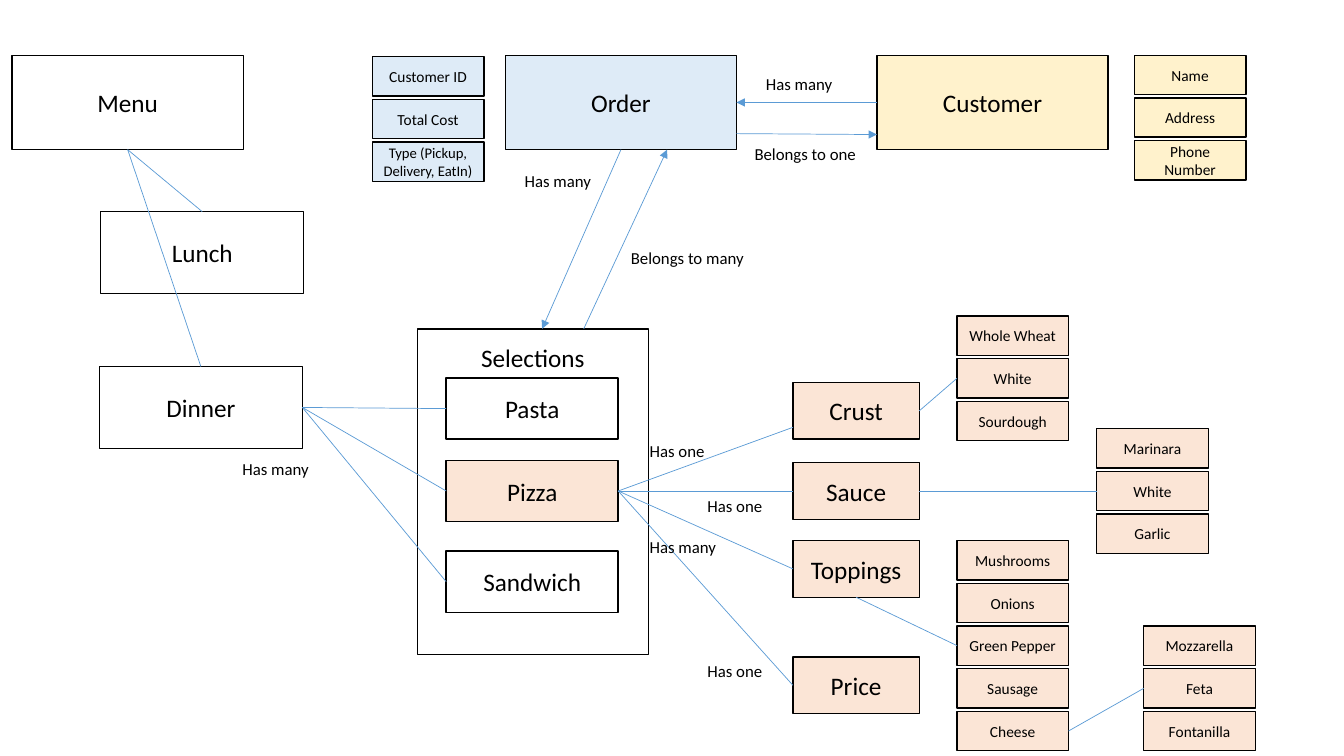
from lxml import etree
from pptx import Presentation
from pptx.dml.color import RGBColor
from pptx.enum.shapes import MSO_CONNECTOR, MSO_SHAPE
from pptx.enum.text import MSO_ANCHOR, MSO_AUTO_SIZE, PP_ALIGN
from pptx.oxml.ns import qn
from pptx.util import Inches, Pt

RECT, STRAIGHT = MSO_SHAPE.RECTANGLE, MSO_CONNECTOR.STRAIGHT
TOP, MIDDLE = MSO_ANCHOR.TOP, MSO_ANCHOR.MIDDLE
LEFT, CENTER = PP_ALIGN.LEFT, PP_ALIGN.CENTER
GROW = MSO_AUTO_SIZE.SHAPE_TO_FIT_TEXT

WIDTH, HEIGHT = Inches(13.333), Inches(7.5)
FONT = "Calibri"
COLORS = {"black": "000000", "white": "FFFFFF", "pizza": "FBE5D6",
          "order": "DEEBF7", "customer": "FFF2CC", "link": "5B9BD5"}

ENTITY, MEAL, DISH, PART = (17.2, 12.5), (15.1, 10.8), (12.8, 8.1), (9.4, 7.5)
SELECTIONS, VALUE, PITCH = (17.2, 43.1), (8.3, 5.2), 5.65
TOP_MID, LEFT_MID, BOTTOM_MID, RIGHT_MID = (.5, 0), (0, .5), (.5, 1), (1, .5)
SITES = [TOP_MID, LEFT_MID, BOTTOM_MID, RIGHT_MID]
LABEL_WIDTHS = {"Has many": 6.5, "Has one": 5.6,
                "Belongs to many": 10, "Belongs to one": 9.15}


def rgb(name):
    """Return the named colour."""
    return RGBColor.from_string(COLORS[name])


def place(x, y, w, h):
    """Turn percentages of the slide into lengths."""
    return [int(v * full / 100) for v, full in
            ((x, WIDTH), (y, HEIGHT), (w, WIDTH), (h, HEIGHT))]


def write(tf, text, size, align=CENTER):
    """Write one formatted paragraph."""
    p = tf.paragraphs[0]
    p.alignment = align
    r = p.add_run()
    r.text = text
    r.font.name, r.font.size = FONT, Pt(size)
    r.font.color.rgb = rgb("black")


def box(s, text, x, y, extent, fill="white", size=18, anchor=MIDDLE):
    """Draw an outlined rectangle with centred text."""
    sp = s.shapes.add_shape(RECT, *place(x, y, *extent))
    sp.shadow.inherit = False
    if fill:
        sp.fill.solid()
        sp.fill.fore_color.rgb = rgb(fill)
    else:
        sp.fill.background()
    sp.line.color.rgb = rgb("black")
    sp.line.width = Pt(1)
    tf = sp.text_frame
    tf.word_wrap, tf.vertical_anchor = True, anchor
    write(tf, text, size)
    return sp


def stack(s, texts, x, y, fill="pizza", sizes=(11,) * 5):
    """Draw a column of small value boxes at an equal pitch."""
    return [box(s, text, x, y + i * PITCH, VALUE, fill, size)
            for i, (text, size) in enumerate(zip(texts, sizes))]


def label(s, text, x, y):
    """Add a one-line relation label."""
    sp = s.shapes.add_textbox(*place(x, y, LABEL_WIDTHS[text], 4))
    sp.text_frame.word_wrap = False
    sp.text_frame.auto_size = GROW
    write(sp.text_frame, text, 12, LEFT)


def point(sp, share):
    """Return the point at a share of a shape's width and height."""
    return (int(sp.left + share[0] * sp.width),
            int(sp.top + share[1] * sp.height))


def link(s, a, b, start=RIGHT_MID, end=LEFT_MID, arrow=False):
    """Connect two shapes, glued wherever the end is a connection site."""
    cx = s.shapes.add_connector(STRAIGHT, *point(a, start), *point(b, end))
    if start in SITES:
        cx.begin_connect(a, SITES.index(start))
    if end in SITES:
        cx.end_connect(b, SITES.index(end))
    cx.line.color.rgb = rgb("link")
    cx.line.width = Pt(.5)
    if arrow:
        etree.SubElement(cx.line._get_or_add_ln(), qn("a:tailEnd"), type="triangle")
    etree.SubElement(cx._element.spPr, qn("a:effectLst"))


def main():
    """Build the pizza-order entity diagram."""
    prs = Presentation()
    prs.slide_width, prs.slide_height = WIDTH, HEIGHT
    s = prs.slides.add_slide(prs.slide_layouts[6])

    menu = box(s, "Menu", .9, 7.3, ENTITY)
    order = box(s, "Order", 37.6, 7.3, ENTITY, "order")
    customer = box(s, "Customer", 65.25, 7.3, ENTITY, "customer")
    lunch = box(s, "Lunch", 7.5, 28, MEAL)
    dinner = box(s, "Dinner", 7.4, 48.5, MEAL)
    selections = box(s, "Selections", 31.05, 43.5, SELECTIONS, None, anchor=TOP)
    selections.text_frame.margin_top = int(HEIGHT * .018)
    dishes = [box(s, text, 33.2, y, DISH, fill) for text, y, fill in (
        ("Pasta", 50, "white"), ("Pizza", 60.9, "pizza"), ("Sandwich", 72.9, "white"))]
    pizza = dishes[1]
    crust, sauce, toppings, price = [
        box(s, text, 59, y, PART, "pizza") for text, y in (
            ("Crust", 50.6), ("Sauce", 61.2), ("Toppings", 71.5), ("Price", 86.9))]

    stack(s, ["Customer ID", "Total Cost", "Type (Pickup, Delivery, EatIn)"],
          27.7, 7.5, "order", (11, 11, 10.5))
    stack(s, ["Name", "Address", "Phone Number"], 84.4, 7.3, "customer")
    crusts = stack(s, ["Whole Wheat", "White", "Sourdough"], 71.2, 41.8)
    sauces = stack(s, ["Marinara", "White", "Garlic"], 81.6, 56.7)
    extras = stack(s, ["Mushrooms", "Onions", "Green Pepper", "Sausage", "Cheese"],
                   71.2, 71.5)
    cheeses = stack(s, ["Mozzarella", "Feta", "Fontanilla"], 85.1, 82.8)

    for meal in (lunch, dinner):
        link(s, menu, meal, BOTTOM_MID, TOP_MID)
    for dish in dishes:
        link(s, dinner, dish)
    link(s, pizza, crust, end=(0, .79))
    for part in (sauce, toppings, price):
        link(s, pizza, part)
    link(s, crust, crusts[1])
    link(s, sauce, sauces[1])
    link(s, toppings, extras[2], BOTTOM_MID)
    link(s, extras[4], cheeses[1])
    link(s, customer, order, LEFT_MID, RIGHT_MID, arrow=True)
    link(s, order, customer, (1, .83), (0, .84), arrow=True)
    link(s, order, selections, BOTTOM_MID, (.54, 0), arrow=True)
    link(s, selections, order, (.72, 0), (.7, 1), arrow=True)

    for text, x, y in (
            ("Has many", 56.25, 9.1), ("Belongs to one", 55.4, 18.3),
            ("Has many", 38.3, 21.9), ("Belongs to many", 46.2, 32.1),
            ("Has many", 17.3, 60), ("Has one", 47.6, 57.7),
            ("Has one", 51.9, 64.9), ("Has many", 47.6, 70.3),
            ("Has one", 51.9, 86.7)):
        label(s, text, x, y)
    prs.save("out.pptx")


main()
